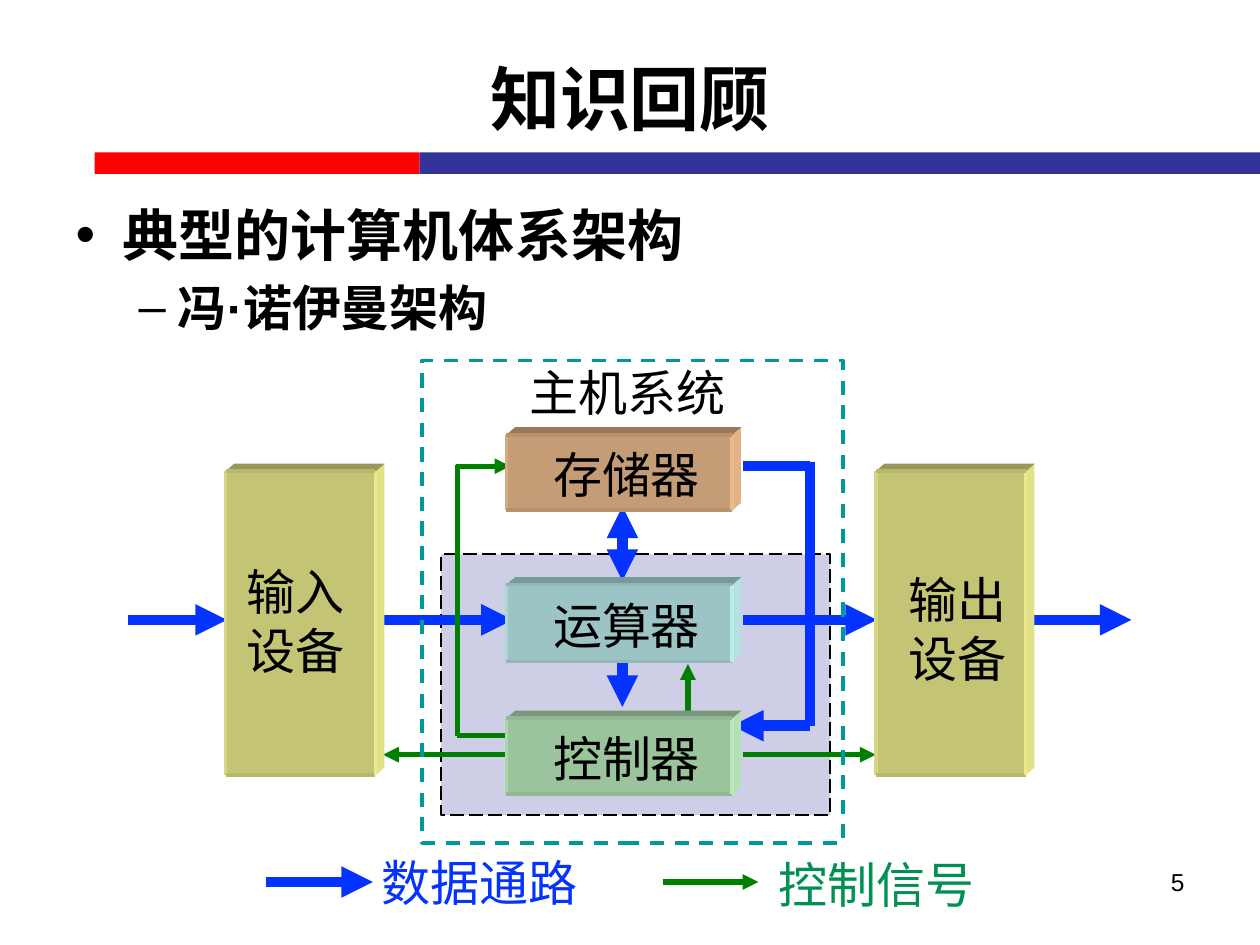
from typing import NamedTuple

from lxml import etree
from pptx import Presentation
from pptx import util as u
from pptx.dml.color import RGBColor
from pptx.enum import dml, shapes, text
from pptx.oxml.ns import qn

# The slide is a grid of 100 columns by 75 rows; all places are in grid units.
COLS, ROWS = 100, 75
WIDTH, HEIGHT = u.Inches(10), u.Inches(7.5)
DATA, CONTROL, BLACK = "0432FF", "008000", "000000"
CJK = "Noto Sans CJK SC"
DEPTH_X, DEPTH_Y = 0.7, 0.6


class Block(NamedTuple):
    left: float
    right: float
    top: float
    bottom: float
    face: str


class Label(NamedTuple):
    box: tuple[float, float, float, float]
    lines: str
    color: str = BLACK
    font: str = CJK
    size: float = 28
    align: text.PP_ALIGN = text.PP_ALIGN.LEFT
    insets: tuple[float, float] = (0, 0)


class Path(NamedTuple):
    start: tuple[float, float]
    end: tuple[float, float]
    color: str = DATA
    width: float = 6
    tail: bool = True
    head: bool = False


def signal(start, end, tail: bool = True) -> Path:
    return Path(start, end, CONTROL, 3, tail)


LEGEND = [Path((21.1, 70), (29.6, 70)), signal((52.6, 70), (60.2, 70))]
PATHS = [
    Path((29.6, 49.2), (40.7, 49.2)),
    Path((49.4, 46.1), (49.4, 40.2), head=True),
    Path((59, 37), (64.3, 37), tail=False),
    Path((64.3, 36.7), (64.3, 57.6), tail=False),
    Path((64.3, 57.6), (58.1, 57.6)),
    signal((54.6, 56.5), (54.6, 52.7)),
    signal((40.7, 59.9), (30.4, 59.9)),
    signal((59, 59.9), (69.5, 59.9)),
    signal((40.7, 58.4), (36.3, 58.4), tail=False),
    signal((36.3, 58.4), (36.3, 36.9), tail=False),
    signal((36.2, 37), (40.5, 37)),
    Path((49.4, 52.2), (49.4, 56.1)),
    Path((59, 49.2), (69.6, 49.2)),
    Path((10.2, 49.2), (18, 49.2)),
    Path((82, 49.2), (89.8, 49.2)),
]
BLOCKS = [
    Block(40.2, 58.1, 34.5, 40.5, "C49C75"),
    Block(69.5, 81.4, 37.4, 61.5, "C4C475"),
    Block(17.9, 29.8, 37.4, 61.5, "C4C475"),
    Block(40.2, 58.1, 46.4, 52.5, "9CC4C4"),
    Block(40.2, 58.1, 57, 63, "9CC49C"),
]
LABELS = [
    Label((40.8, 28.2, 18, 5.8), "主机系统", font="Times New Roman",
          align=text.PP_ALIGN.CENTER, insets=(1.1, 0.6)),
    Label((43.9, 35.3, 12.6, 4.7), "存储器"),
    Label((72.1, 45.2, 7.8, 9.4), "输出\n设备"),
    Label((19.6, 44.6, 7.9, 9.4), "输入\n设备"),
    Label((43.9, 47.3, 11.8, 4.7), "运算器"),
    Label((43.9, 57.8, 12.3, 4.7), "控制器"),
    Label((30.3, 67.7, 16.3, 4.7), "数据通路", DATA),
    Label((61.8, 67.8, 16.8, 4.7), "控制信号", "009051"),
    Label((71.7, 68.3, 23.3, 5.2), "5", font="Arial", size=14,
          align=text.PP_ALIGN.RIGHT, insets=(1, 0.5)),
]


def x(cols: float) -> int:
    return round(WIDTH * cols / COLS)


def y(rows: float) -> int:
    return round(HEIGHT * rows / ROWS)


def area(box) -> tuple[int, int, int, int]:
    left, top, width, height = box
    return x(left), y(top), x(width), y(height)


def rgb(color: str) -> RGBColor:
    return RGBColor.from_string(color)


def shade(color: str, factor: float) -> str:
    return "".join(f"{min(255, round(c * factor)):02X}" for c in rgb(color))


def style(p, font: str, size: float, color: str = BLACK, bold: bool = False) -> None:
    p.font.size, p.font.bold, p.font.name = u.Pt(size), bold, font
    p.font.color.rgb = rgb(color)
    latin = p.font._element.find(qn("a:latin"))
    east_asian = etree.Element(qn("a:ea"), typeface=CJK)
    latin.addnext(east_asian)


def paint(sp, fill: str | None) -> None:
    sp.shadow.inherit = False
    sp.line.fill.background()
    if fill:
        sp.fill.solid()
        sp.fill.fore_color.rgb = rgb(fill)
    else:
        sp.fill.background()


def add_rect(slide, box, fill: str | None):
    sp = slide.shapes.add_shape(shapes.MSO_SHAPE.RECTANGLE, *area(box))
    paint(sp, fill)
    return sp


def outline(sp, color: str, width: float, dash) -> None:
    sp.line.color.rgb = rgb(color)
    sp.line.width = u.Pt(width)
    sp.line.dash_style = dash


def add_path(slide, path: Path) -> None:
    (x1, y1), (x2, y2) = path.start, path.end
    line = slide.shapes.add_connector(
        shapes.MSO_CONNECTOR.STRAIGHT, x(x1), y(y1), x(x2), y(y2))
    line.line.color.rgb = rgb(path.color)
    line.line.width = u.Pt(path.width)
    ln = line.line._get_or_add_ln()
    for tag, shown in (("a:headEnd", path.head), ("a:tailEnd", path.tail)):
        if shown:
            etree.SubElement(ln, qn(tag), type="triangle")
    etree.SubElement(line._element.spPr, qn("a:effectLst"))


def add_polygon(slide, points, fill: str) -> None:
    first, *rest = [(x(px), y(py)) for px, py in points]
    builder = slide.shapes.build_freeform(*first)
    builder.add_line_segments(rest, close=True)
    paint(builder.convert_to_shape(), fill)


def add_block(slide, block: Block) -> None:
    """Draw a front face with a raised top, a right side and bevelled edges."""
    left, right, top, bottom, face = block
    side, lid, rim = shade(face, 1.15), shade(face, 0.776), shade(face, 0.934)
    back, up = right + DEPTH_X, top - DEPTH_Y
    low = bottom - DEPTH_Y
    add_polygon(slide, [(right, bottom), (right, top), (back, up), (back, low)], side)
    add_path(slide, Path((right, bottom), (back, low), side, 0.25, False))
    add_polygon(slide, [(right, top), (left, top), (left + DEPTH_X, up), (back, up)], lid)
    add_path(slide, Path((right, top), (back, up), lid, 0.25, False))
    add_rect(slide, (left, top, right - left, bottom - top), face)
    corners = [(left, top), (left, bottom), (right, bottom), (right, top)]
    edges = [shade(face, 1.092), rim, shade(face, 1.194), rim]
    for start, end, color in zip(corners, corners[1:] + corners[:1], edges):
        add_path(slide, Path(start, end, color, 2.13, False))


def add_label(slide, label: Label) -> None:
    tf = slide.shapes.add_textbox(*area(label.box)).text_frame
    tf.word_wrap = label.align == text.PP_ALIGN.RIGHT
    tf.margin_left = tf.margin_right = x(label.insets[0])
    tf.margin_top = tf.margin_bottom = y(label.insets[1])
    tf.text = label.lines
    for p in tf.paragraphs:
        p.alignment = label.align
        style(p, label.font, label.size, label.color)


def fill_placeholder(sp, box, lines) -> None:
    """Move a placeholder and write (text, level, size) lines into it."""
    sp.left, sp.top, sp.width, sp.height = area(box)
    tf = sp.text_frame
    tf.auto_size = text.MSO_AUTO_SIZE.NONE
    tf.text = "\n".join(line for line, _, _ in lines)
    for p, (_, level, size) in zip(tf.paragraphs, lines):
        p.level = level
        style(p, "Arial", size, bold=True)


def main() -> None:
    prs = Presentation()
    prs.slide_width, prs.slide_height = WIDTH, HEIGHT
    slide = prs.slides.add_slide(prs.slide_layouts[1])
    title, body = slide.placeholders
    fill_placeholder(title, (5, 1.5, 90, 12.5), [("知识回顾", 0, 40)])
    fill_placeholder(body, (5, 15.4, 90, 12.5),
                     [("典型的计算机体系架构", 0, 32), ("冯·诺伊曼架构", 1, 28)])
    add_rect(slide, (7.5, 12.1, 25.8, 1.7), "FF0000")
    add_rect(slide, (33.3, 12.1, 66.7, 1.7), "333399")

    for path in LEGEND:
        add_path(slide, path)
    cpu = add_rect(slide, (35, 44, 30.9, 20.7), "333399")
    outline(cpu, BLACK, 1, dml.MSO_LINE.LONG_DASH)
    tint = cpu._element.spPr.find(qn("a:solidFill"))[0]
    etree.SubElement(tint, qn("a:alpha"), val="24000")
    for path in PATHS:
        add_path(slide, path)
    host = add_rect(slide, (33.5, 28.6, 33.4, 38.3), None)
    outline(host, "009999", 2, dml.MSO_LINE.DASH)
    for block in BLOCKS:
        add_block(slide, block)
    for label in LABELS:
        add_label(slide, label)
    prs.save("out.pptx")


if __name__ == "__main__":
    main()
